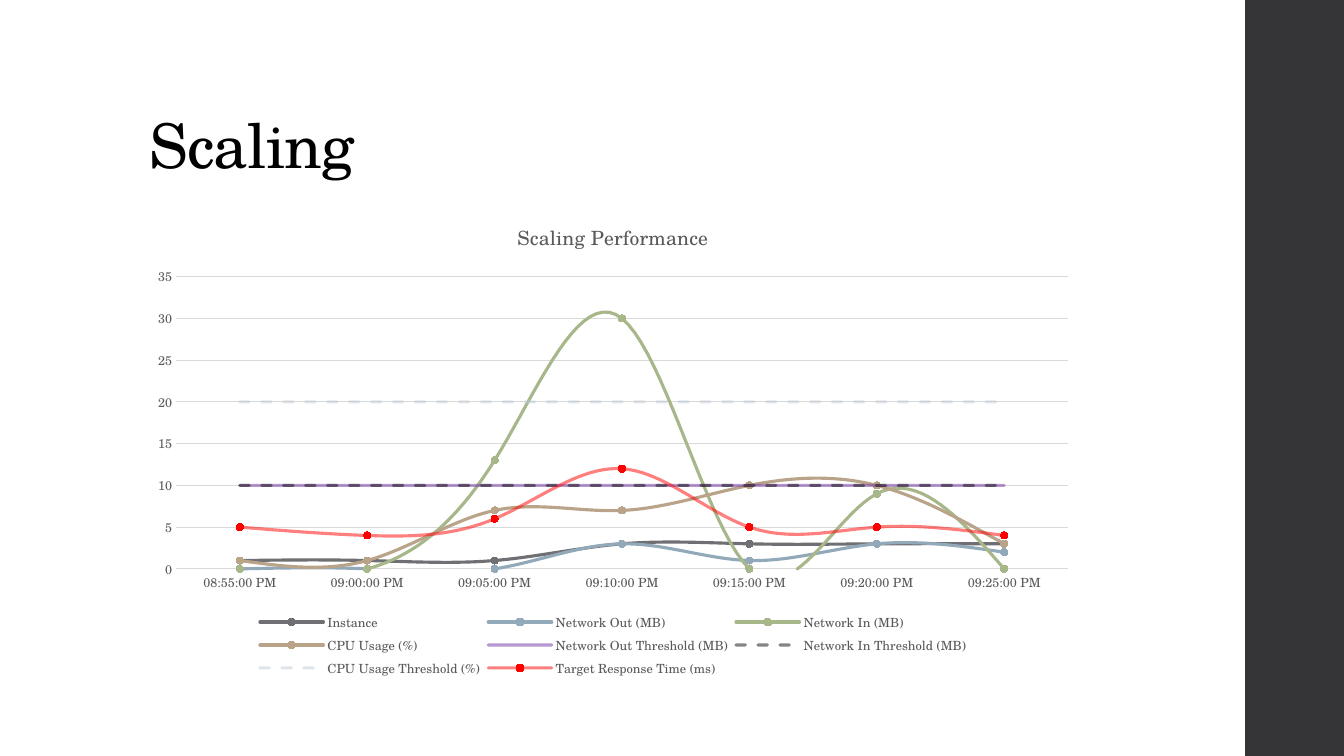
from pptx import Presentation
from pptx import util as u
from pptx.chart.data import CategoryChartData
from pptx.dml.color import RGBColor
from pptx.enum import chart as ch, dml, shapes, text
from pptx.oxml.xmlchemy import OxmlElement

FONT = "TeX Gyre Schola"
BLACK = RGBColor(0x00, 0x00, 0x00)
CHARCOAL = RGBColor(0x35, 0x35, 0x37)
LABEL = RGBColor(0x59, 0x59, 0x59)
RULE = RGBColor(0xD9, 0xD9, 0xD9)
GRAY = RGBColor(0x6F, 0x6F, 0x74)
BLUE = RGBColor(0x92, 0xA9, 0xB9)
GREEN = RGBColor(0xA7, 0xB7, 0x89)
TAN = RGBColor(0xB9, 0xA4, 0x89)
PURPLE = RGBColor(0x70, 0x30, 0xA0)
INK = RGBColor(0x0D, 0x0D, 0x0D)
PALE_BLUE = RGBColor(0xBE, 0xCB, 0xD5)
RED = RGBColor(0xFF, 0x00, 0x00)

TIMES = ["08:55:00 PM"] + [f"09:{m:02}:00 PM" for m in range(0, 30, 5)]

# name, values, colour, marker, dashed, half transparent
SERIES = [
    ("Instance", [1, 1, 1, 3, 3, 3, 3], GRAY, True, False, False),
    ("Network Out (MB)", [0, 0, 0, 3, 1, 3, 2], BLUE, True, False, False),
    ("Network In (MB)", [0, 0, 13, 30, 0, 9, 0], GREEN, True, False, False),
    ("CPU Usage (%)", [1, 1, 7, 7, 10, 10, 3], TAN, True, False, False),
    ("Network Out Threshold (MB)", [10] * 7, PURPLE, False, False, True),
    ("Network In Threshold (MB)", [10] * 7, INK, False, True, True),
    ("CPU Usage Threshold (%)", [20] * 7, PALE_BLUE, False, True, True),
    ("Target Response Time (ms)", [5, 4, 6, 12, 5, 5, 4], RED, True, False, True),
]


def set_font(font, size, color):
    for name, value in {"name": FONT, "size": u.Pt(size), "bold": False}.items():
        setattr(font, name, value)
    font.color.rgb = color


def add_side_band(slide, left, top, width, height):
    sp = slide.shapes.add_shape(shapes.MSO_SHAPE.RECTANGLE, left, top, width, height)
    sp.shadow.inherit = False
    sp.fill.solid()
    sp.fill.fore_color.rgb = CHARCOAL
    sp.line.fill.background()


def add_title(slide, left, top, width, height):
    tf = slide.shapes.add_textbox(left, top, width, height).text_frame
    tf.word_wrap = True
    tf.vertical_anchor = text.MSO_ANCHOR.BOTTOM
    p = tf.paragraphs[0]
    p.line_spacing = 0.9
    r = p.add_run()
    r.text = "Scaling"
    set_font(r.font, 44, BLACK)
    r.font._element.set("spc", "-50")


def style_series(s, color, marker, dashed, translucent):
    s.smooth = True
    line = s.format.line
    line.width = u.Pt(2.25)
    line.color.rgb = color
    if dashed:
        line.dash_style = dml.MSO_LINE.DASH
    s._element.xpath("./c:spPr/a:ln")[0].set("cap", "rnd")
    if translucent:
        alpha = OxmlElement("a:alpha")
        alpha.set("val", "50000")
        s._element.xpath("./c:spPr/a:ln//a:srgbClr")[0].append(alpha)
    if not marker:
        s.marker.style = ch.XL_MARKER_STYLE.NONE
        return
    s.marker.style = ch.XL_MARKER_STYLE.CIRCLE
    s.marker.size = 5
    s.marker.format.fill.solid()
    s.marker.format.fill.fore_color.rgb = color
    s.marker.format.line.color.rgb = color


def style_axes(chart):
    cat, val = chart.category_axis, chart.value_axis
    for axis in (cat, val):
        axis.major_tick_mark = axis.minor_tick_mark = ch.XL_TICK_MARK.NONE
        set_font(axis.tick_labels.font, 9, LABEL)
    val.minimum_scale, val.maximum_scale, val.major_unit = 0, 35, 5
    val.tick_labels.number_format = "General"
    val.tick_labels.number_format_is_linked = False
    val.format.line.fill.background()
    for line in (cat.format.line, val.major_gridlines.format.line):
        line.color.rgb = RULE
        line.width = u.Pt(0.75)


def add_scaling_chart(slide, left, top, width, height):
    data = CategoryChartData()
    data.categories = TIMES
    for name, values, *_ in SERIES:
        data.add_series(name, values)
    chart = slide.shapes.add_chart(
        ch.XL_CHART_TYPE.LINE_MARKERS, left, top, width, height, data).chart
    set_font(chart.font, 10, BLACK)
    chart.plots[0].vary_by_categories = False

    chart.has_title = True
    p = chart.chart_title.text_frame.paragraphs[0]
    r = p.add_run()
    r.text = "Scaling Performance"
    set_font(r.font, 14, LABEL)
    chart.chart_title.include_in_layout = False

    chart.has_legend = True
    chart.legend.position = ch.XL_LEGEND_POSITION.BOTTOM
    chart.legend.include_in_layout = False
    set_font(chart.legend.font, 9, LABEL)

    style_axes(chart)
    for s, (_, _, *look) in zip(chart.plots[0].series, SERIES):
        style_series(s, *look)


def main():
    prs = Presentation()
    prs.slide_width, prs.slide_height = u.Inches(13.33), u.Inches(7.5)
    slide = prs.slides.add_slide(prs.slide_layouts[6])
    add_side_band(slide, u.Inches(12.35), 0, u.Inches(0.98), prs.slide_height)
    left = u.Inches(1.38)
    add_title(slide, left, u.Inches(0.4), u.Inches(10.6), u.Inches(1.45))
    add_scaling_chart(slide, left, u.Inches(2), u.Inches(9.4), u.Inches(4.76))
    prs.save("out.pptx")


if __name__ == "__main__":
    main()
